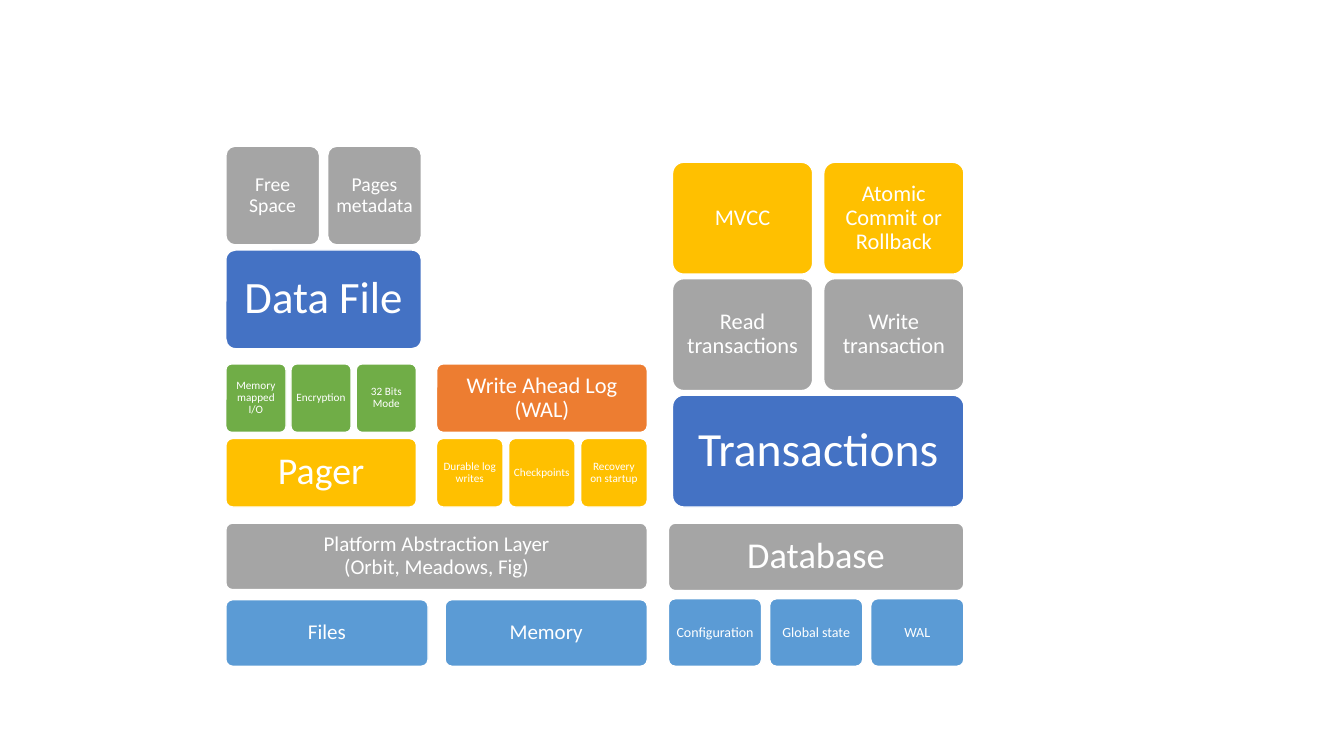
from collections import namedtuple

from pptx import Presentation
from pptx.dml.color import RGBColor
from pptx.enum.shapes import MSO_SHAPE
from pptx.enum.text import MSO_ANCHOR, PP_ALIGN
from pptx.util import Inches, Pt

WHITE, GRAY, BLUE, NAVY = "FFFFFF", "A5A5A5", "5B9BD5", "4472C4"
GOLD, GREEN, ORANGE = "FFC000", "70AD47", "ED7D31"
CELL = 0.1  # inches per grid column and row
INSET = 0.3  # text margin as a share of the font size

Area = namedtuple("Area", "left top width height")
Row = namedtuple("Row", "labels fill size")


def grid(cells):
    """Turn a number of grid cells into a length."""
    return Inches(cells * CELL)


def color(hex_string):
    """Turn a hex string into a colour."""
    return RGBColor.from_string(hex_string)


def add_block(page, area, label, fill, size):
    """Add one rounded block with a centred label."""
    box = page.shapes.add_shape(MSO_SHAPE.ROUNDED_RECTANGLE, *map(grid, area))
    box.adjustments[0] = 0.1
    box.shadow.inherit = False
    box.fill.solid()
    box.fill.fore_color.rgb = color(fill)
    box.line.color.rgb = color(WHITE)
    box.line.width = Pt(1)

    frame = box.text_frame
    frame.word_wrap = True
    frame.vertical_anchor = MSO_ANCHOR.MIDDLE
    frame.margin_left = frame.margin_right = Pt(size * INSET)
    frame.margin_top = frame.margin_bottom = Pt(size * INSET)

    para = frame.paragraphs[0]
    para.text = label
    para.alignment = PP_ALIGN.CENTER
    para.line_spacing = 0.9
    para.font.name = "Calibri"
    para.font.size = Pt(size)
    para.font.color.rgb = color(WHITE)


def split(start, length, count, gap):
    """Return the starts and the common size of equal parts."""
    size = (length - gap * (count - 1)) / count
    return [start + i * (size + gap) for i in range(count)], size


def add_stack(page, area, row_gap, column_gap, rows):
    """Fill an area with equal rows, each cut into equal blocks."""
    tops, height = split(area.top, area.height, len(rows), row_gap)
    for top, row in zip(tops, rows):
        lefts, width = split(area.left, area.width, len(row.labels), column_gap)
        for left, label in zip(lefts, row.labels):
            add_block(page, Area(left, top, width, height), label, row.fill, row.size)


def main():
    """Build the storage engine architecture slide."""
    deck = Presentation()
    deck.slide_width, deck.slide_height = Inches(13.33), Inches(7.5)
    page = deck.slides.add_slide(deck.slide_layouts[6])

    add_stack(page, Area(22.4, 51.9, 41.8, 14.2), 1, 1.7, [
        Row(["Platform Abstraction Layer\v(Orbit, Meadows, Fig)"], GRAY, 15),
        Row(["Files", "Memory"], BLUE, 15),
    ])
    add_stack(page, Area(22.4, 36.1, 18.9, 14.2), 0.6, 0.5, [
        Row(["Memory mapped I/O", "Encryption", "32 Bits Mode"], GREEN, 8),
        Row(["Pager"], GOLD, 27),
    ])
    add_stack(page, Area(22.4, 14.5, 19.4, 20.1), 0.5, 0.8, [
        Row(["Free Space", "Pages metadata"], GRAY, 14),
        Row(["Data File"], NAVY, 32),
    ])
    add_stack(page, Area(43.3, 36.1, 20.9, 14.2), 0.6, 0.55, [
        Row(["Write Ahead Log (WAL)"], ORANGE, 16),
        Row(["Durable log writes", "Checkpoints", "Recovery on startup"], GOLD, 8),
    ])
    add_stack(page, Area(66.3, 51.9, 29.3, 14.2), 0.8, 0.8, [
        Row(["Database"], GRAY, 26),
        Row(["Configuration", "Global state", "WAL"], BLUE, 10),
    ])
    add_stack(page, Area(66.7, 16.1, 28.9, 34.2), 0.45, 1.1, [
        Row(["MVCC", "Atomic Commit or Rollback"], GOLD, 16),
        Row(["Read transactions", "Write transaction"], GRAY, 16),
        Row(["Transactions"], NAVY, 34),
    ])

    deck.save("out.pptx")


main()
